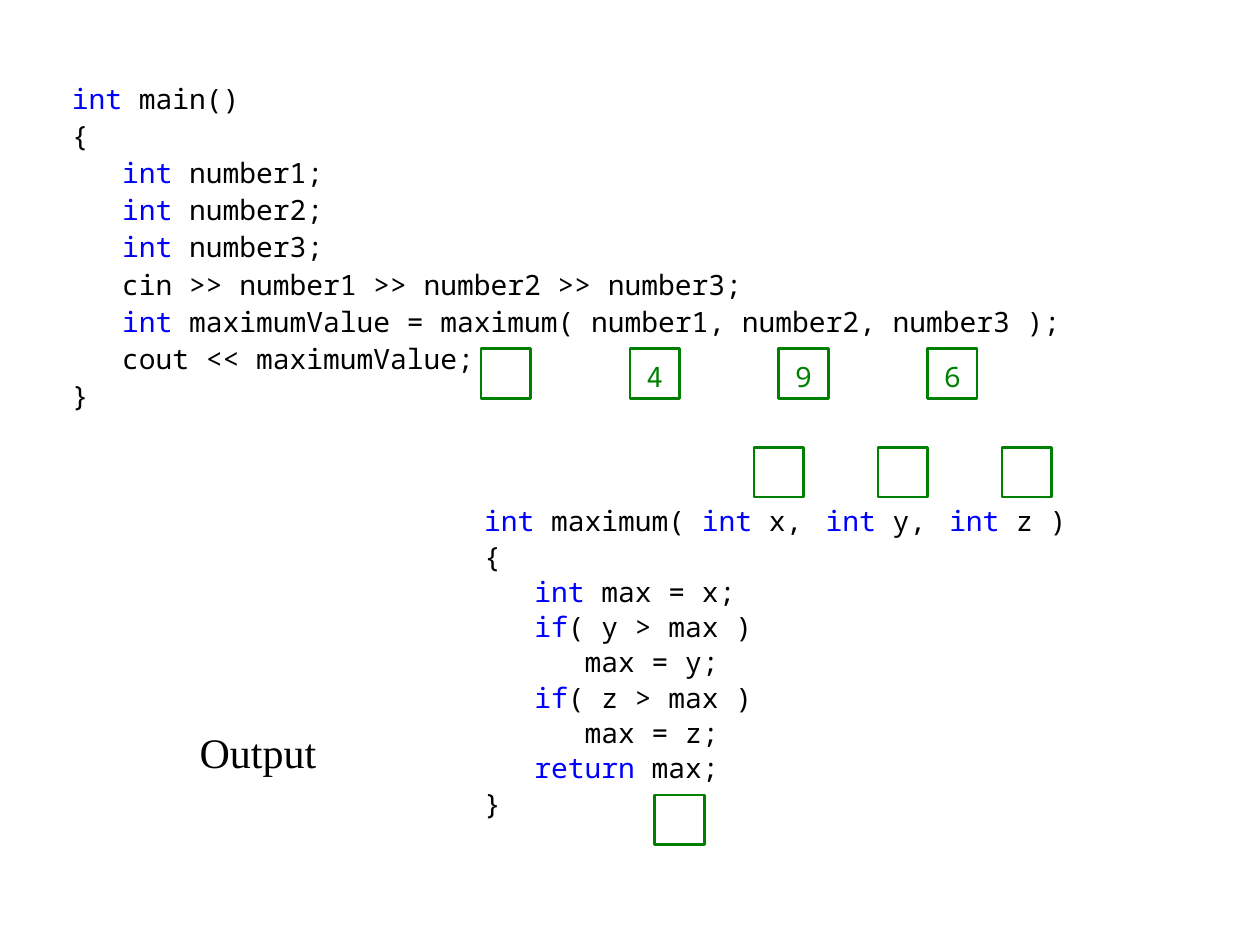
import pptx
import pptx.dml.color
import pptx.enum.shapes
import pptx.enum.text
import pptx.util
from pptx.util import Cm, Pt

COLOURS = {"keyword": "0000FF", "code": "000000", "value": "008000"}
CODE_FONT = "Noto Sans Mono"
CELL_SIZE = Cm(1)

# Each line is a list of (text, style) spans.
MAIN_CODE = [
    [("int", "keyword"), (" main()", "code")],
    [("{", "code")],
    *[[("   ", "code"), ("int", "keyword"), (f" number{i};", "code")]
      for i in (1, 2, 3)],
    [("   cin >> number1 >> number2 >> number3;", "code")],
    [("   ", "code"), ("int ", "keyword"),
     ("maximumValue = maximum( number1, number2, number3 );", "code")],
    [("   cout << maximumValue;", "code")],
    [("}", "code")],
]
MAXIMUM_CODE = [
    [("int", "keyword"), (" maximum( ", "code"),
     ("int", "keyword"), (" x,", "code"), ("  ", "gap"),
     ("int", "keyword"), (" y,", "code"), ("  ", "gap"),
     ("int", "keyword"), (" z )", "code")],
    [("{", "code")],
    [("   ", "code"), ("int", "keyword"), (" max = x;", "code")],
    [("   ", "code"), ("if", "keyword"), ("( y > max )", "code")],
    [("      max = y;", "code")],
    [("   ", "code"), ("if", "keyword"), ("( z > max )", "code")],
    [("      max = z;", "code")],
    [("   ", "code"), ("return", "keyword"), (" max;", "code")],
    [("}", "code")],
]


def add_span(para, text, colour, size=16, font=CODE_FONT):
    span = para.add_run()
    span.text = text
    for name, value in {"name": font, "size": Pt(size)}.items():
        setattr(span.font, name, value)
    span.font.color.rgb = pptx.dml.color.RGBColor.from_string(COLOURS[colour])


def add_text_box(page, left, top, width, height):
    box = page.shapes.add_textbox(Cm(left), Cm(top), Cm(width), Cm(height))
    box.text_frame.word_wrap = True
    return box.text_frame


def add_code(page, place, lines, space_before, margin_left=0.25):
    frame = add_text_box(page, *place)
    frame.margin_left = Cm(margin_left)
    for index, spans in enumerate(lines):
        para = frame.add_paragraph() if index else frame.paragraphs[0]
        if index:
            para.space_before = Pt(space_before)
        for text, style in spans:
            if style == "gap":
                add_span(para, text, "code", size=11)
            else:
                add_span(para, text, style)


def add_output_label(page):
    para = add_text_box(page, 2.7, 14.53, 5, 1.5).paragraphs[0]
    para.alignment = pptx.enum.text.PP_ALIGN.CENTER
    add_span(para, "Output", "code", size=24, font="Times New Roman")


def add_memory_cell(page, left, top, value=""):
    """Draw the square that stands for a variable, with its value if known."""
    cell = page.shapes.add_shape(
        pptx.enum.shapes.MSO_SHAPE.RECTANGLE,
        Cm(left), Cm(top), CELL_SIZE, CELL_SIZE)
    cell.shadow.inherit = False
    cell.fill.background()
    cell.line.color.rgb = pptx.dml.color.RGBColor.from_string(COLOURS["value"])
    cell.line.width = Pt(1.5)
    if value:
        frame = cell.text_frame
        settings = {"word_wrap": False, "margin_top": Cm(0.1),
                    "margin_bottom": 0,
                    "vertical_anchor": pptx.enum.text.MSO_ANCHOR.MIDDLE}
        for name, setting in settings.items():
            setattr(frame, name, setting)
        para = frame.paragraphs[0]
        para.alignment = pptx.enum.text.PP_ALIGN.CENTER
        add_span(para, value, "value")


def main():
    deck = pptx.Presentation()
    deck.slide_width, deck.slide_height = Cm(25.4), Cm(19.05)
    page = deck.slides.add_slide(deck.slide_layouts[6])

    add_code(page, (1.2, 1.52, 20.5, 7), MAIN_CODE, 2)
    add_code(page, (9.2, 10.03, 13, 7), MAXIMUM_CODE, 1, margin_left=0.56)
    add_output_label(page)

    for column, value in enumerate(["", "4", "9", "6"]):
        add_memory_cell(page, 9.7 + 3 * column, 7.03, value)
    for column in range(3):
        add_memory_cell(page, 15.2 + 2.5 * column, 9.02)
    add_memory_cell(page, 13.2, 16.03)

    deck.save("out.pptx")


if __name__ == "__main__":
    main()
